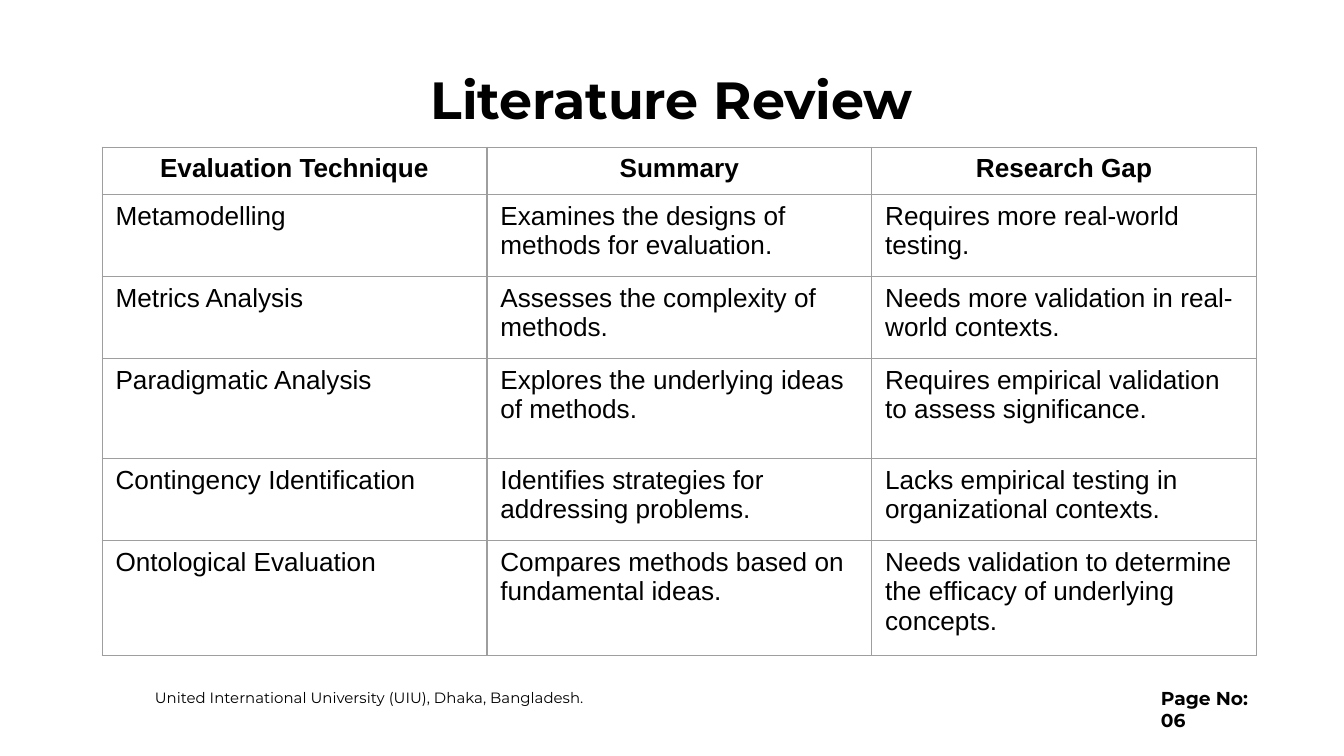
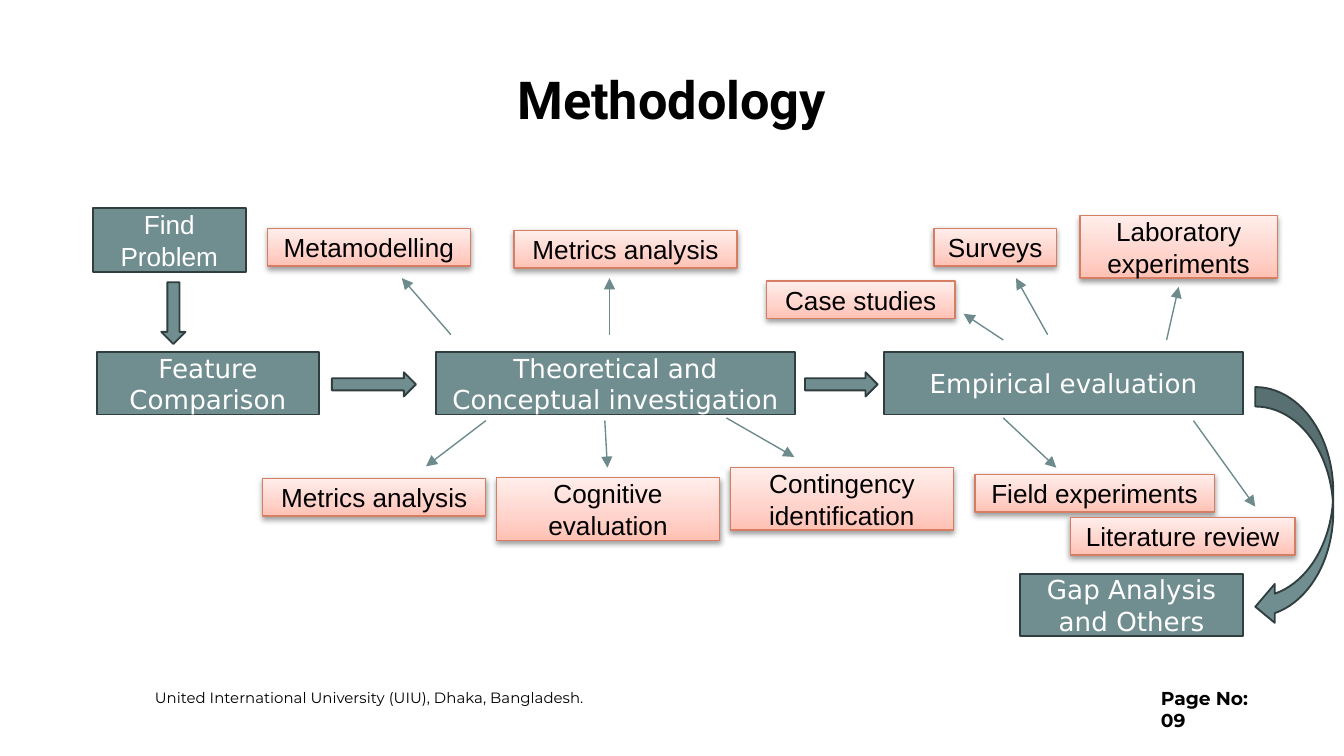
from dataclasses import dataclass

from lxml import etree
from pptx import Presentation
from pptx import util as u
from pptx.dml.color import RGBColor
from pptx.enum import shapes, text
from pptx.oxml import ns, parse_xml

SCALE = 4572
FORM = shapes.MSO_SHAPE
ALIGN = text.PP_ALIGN
ANCHOR = text.MSO_ANCHOR
XMLNS = ns.nsdecls("a")


@dataclass(frozen=True)
class Theme:
    ink: str = "000000"
    paper: str = "FFFFFF"
    teal: str = "708D8F"
    edge: str = "313E3F"
    link: str = "6D8B8D"
    rust: str = "D67E64"
    grid: str = "9E9E9E"
    blush: tuple = ((0, "FFC1B4"), (35, "FFD2CA"), (100, "FFEEEB"))
    head: str = "Montserrat"
    body: str = "Arial"
    step: str = "DejaVu Sans"
    title: int = 28
    base: int = 14
    page: int = 10
    foot: int = 8
    thin: float = 0.75
    bold: float = 1


T = Theme()

TABLE = [
    ("Evaluation Technique", "Summary", "Research Gap"),
    ("Metamodelling", "Examines the designs of methods for evaluation.",
     "Requires more real-world testing."),
    ("Metrics Analysis", "Assesses the complexity of methods.",
     "Needs more validation in real-world contexts."),
    ("Paradigmatic Analysis", "Explores the underlying ideas of methods.",
     "Requires empirical validation to assess significance."),
    ("Contingency Identification", "Identifies strategies for addressing problems.",
     "Lacks empirical testing in organizational contexts."),
    ("Ontological Evaluation", "Compares methods based on fundamental ideas.",
     "Needs validation to determine the efficacy of underlying concepts."),
]
ROWS = (71, 122, 122, 149, 122, 171)

STEPS = [
    ("Find Problem", (138, 309, 228, 96), T.body),
    ("Feature Comparison", (144, 524, 331, 93), T.step),
    ("Theoretical and Conceptual investigation", (649, 524, 534, 93), T.step),
    ("Empirical evaluation", (1316, 524, 534, 93), T.step),
    ("Gap Analysis and Others", (1518, 854, 332, 93), T.step),
]
FLOWS = [
    (FORM.RIGHT_ARROW, (212, 448, 92, 36), 90),
    (FORM.RIGHT_ARROW, (494, 554, 125, 36), 0),
    (FORM.RIGHT_ARROW, (1198, 554, 108, 36), 0),
    (FORM.CURVED_LEFT_ARROW, (1868, 576, 116, 356), 0),
]
NOTES = [
    ("Metamodelling", (398, 340, 302, 56)),
    ("Metrics analysis", (765, 343, 332, 56)),
    ("Metrics analysis", (391, 712, 332, 56)),
    ("Contingency identification", (1087, 696, 332, 93)),
    ("Cognitive evaluation", (739, 711, 332, 93)),
    ("Surveys", (1390, 340, 182, 56)),
    ("Laboratory experiments", (1607, 321, 294, 93)),
    ("Field experiments", (1451, 706, 356, 56)),
    ("Case studies", (1141, 418, 280, 56)),
    ("Literature review", (1593, 770, 334, 56)),
]
LINKS = [
    (671, 498, 598, 414), (907, 498, 907, 414),
    (723, 626, 634, 694), (900, 626, 904, 696), (1081, 622, 1182, 680),
    (1559, 498, 1512, 414), (1736, 506, 1754, 427), (1493, 622, 1572, 696),
    (1493, 506, 1434, 467), (1776, 626, 1868, 754),
]


def px(*nums):
    return [u.Emu(n * SCALE) for n in nums]


def rgb(code):
    return RGBColor.from_string(code)


def add_run(para, words, font, size, color=T.ink, bold=False):
    run = para.add_run()
    run.text = words
    run.font.name = font
    run.font.size = u.Pt(size)
    run.font.bold = bold
    run.font.color.rgb = rgb(color)


def add_text(slide, box, words, font, size, bold=False,
             align=ALIGN.CENTER, anchor=ANCHOR.TOP, inset=None, space=None):
    frame = slide.shapes.add_textbox(*px(*box)).text_frame
    frame.word_wrap = True
    frame.vertical_anchor = anchor
    if inset is not None:
        frame.margin_top = frame.margin_bottom = px(inset)[0]
    para = frame.paragraphs[0]
    para.alignment = align
    para.line_spacing = space
    add_run(para, words, font, size, bold=bold)


def add_page(deck, title, font, page):
    slide = deck.slides.add_slide(deck.slide_layouts[6])
    slide.background.fill.solid()
    slide.background.fill.fore_color.rgb = rgb(T.paper)
    add_text(slide, (204, 1020, 692, 36),
             "United International University (UIU), Dhaka, Bangladesh.",
             T.head, T.foot, anchor=ANCHOR.MIDDLE, inset=20)
    add_text(slide, (1708, 1012, 208, 54), f"Page No: {page:02d}",
             T.head, T.page, bold=True, align=ALIGN.LEFT)
    add_text(slide, (98, 90, 1803, 122), title, font, T.title,
             bold=True, inset=20, space=0.9)
    return slide


def add_grid(slide, left, top, wide):
    count = len(TABLE[0])
    frame = slide.shapes.add_table(
        len(TABLE), count, *px(left, top, wide, sum(ROWS)))
    table = frame.table
    table.first_row = table.horz_banding = False
    for col in table.columns:
        col.width = u.Emu(wide * SCALE // count)
    for r, (tall, words) in enumerate(zip(ROWS, TABLE)):
        table.rows[r].height = px(tall)[0]
        for c, word in enumerate(words):
            cell = table.cell(r, c)
            cell.fill.background()
            para = cell.text_frame.paragraphs[0]
            para.alignment = ALIGN.LEFT if r else ALIGN.CENTER
            add_run(para, word, T.body, T.base, bold=r == 0)
            add_edge(cell)


def add_edge(cell):
    props = cell._tc.get_or_add_tcPr()
    for i, side in enumerate("LRTB"):
        props.insert(i, parse_xml(
            f'<a:ln{side} {XMLNS} w="{u.Pt(T.thin)}"><a:solidFill>'
            f'<a:srgbClr val="{T.grid}"/></a:solidFill></a:ln{side}>'))


def add_form(slide, kind, box, line, width):
    form = slide.shapes.add_shape(kind, *px(*box))
    form.shadow.inherit = False
    form.fill.solid()
    form.fill.fore_color.rgb = rgb(T.teal)
    form.line.color.rgb = rgb(line)
    form.line.width = u.Pt(width)
    return form


def add_box(slide, words, box, font, color, line, width):
    form = add_form(slide, FORM.RECTANGLE, box, line, width)
    frame = form.text_frame
    frame.word_wrap = True
    frame.vertical_anchor = ANCHOR.MIDDLE
    para = frame.paragraphs[0]
    para.alignment = ALIGN.CENTER
    add_run(para, words, font, T.base, color)
    return form


def add_note(slide, words, box):
    form = add_box(slide, words, box, T.body, T.ink, T.rust, T.thin)
    props = form._element.spPr
    stops = "".join(
        f'<a:gs pos="{pos * 1000}"><a:srgbClr val="{code}"/></a:gs>'
        for pos, code in T.blush)
    props.replace(props.find(ns.qn("a:solidFill")), parse_xml(
        f'<a:gradFill {XMLNS} rotWithShape="1"><a:gsLst>{stops}</a:gsLst>'
        '<a:lin ang="16200000" scaled="0"/></a:gradFill>'))
    props.find(ns.qn("a:effectLst")).append(parse_xml(
        f'<a:outerShdw {XMLNS} blurRad="{u.Pt(3.1)}" dist="{u.Pt(1.6)}" '
        f'dir="5400000" rotWithShape="0"><a:srgbClr val="{T.ink}">'
        '<a:alpha val="38000"/></a:srgbClr></a:outerShdw>'))


def add_link(slide, ends):
    link = slide.shapes.add_connector(
        shapes.MSO_CONNECTOR.STRAIGHT, *px(*ends))
    link.line.color.rgb = rgb(T.link)
    link.line.width = u.Pt(T.thin)
    tail = etree.SubElement(link.line._get_or_add_ln(), ns.qn("a:tailEnd"))
    tail.set("type", "triangle")
    etree.SubElement(link._element.spPr, ns.qn("a:effectLst"))


def add_chain(slide):
    for words, box, font in STEPS:
        add_box(slide, words, box, font, T.paper, T.edge, T.bold)
    for kind, box, turn in FLOWS:
        add_form(slide, kind, box, T.edge, T.bold).rotation = turn
    for words, box in NOTES:
        add_note(slide, words, box)
    for ends in LINKS:
        add_link(slide, ends)


def main():
    deck = Presentation()
    deck.slide_width, deck.slide_height = px(2000, 1125)
    add_grid(add_page(deck, "Literature Review", T.head, 6), 152, 219, 1718)
    add_chain(add_page(deck, "Methodology", "Roboto", 9))
    deck.save("out.pptx")


if __name__ == "__main__":
    main()
